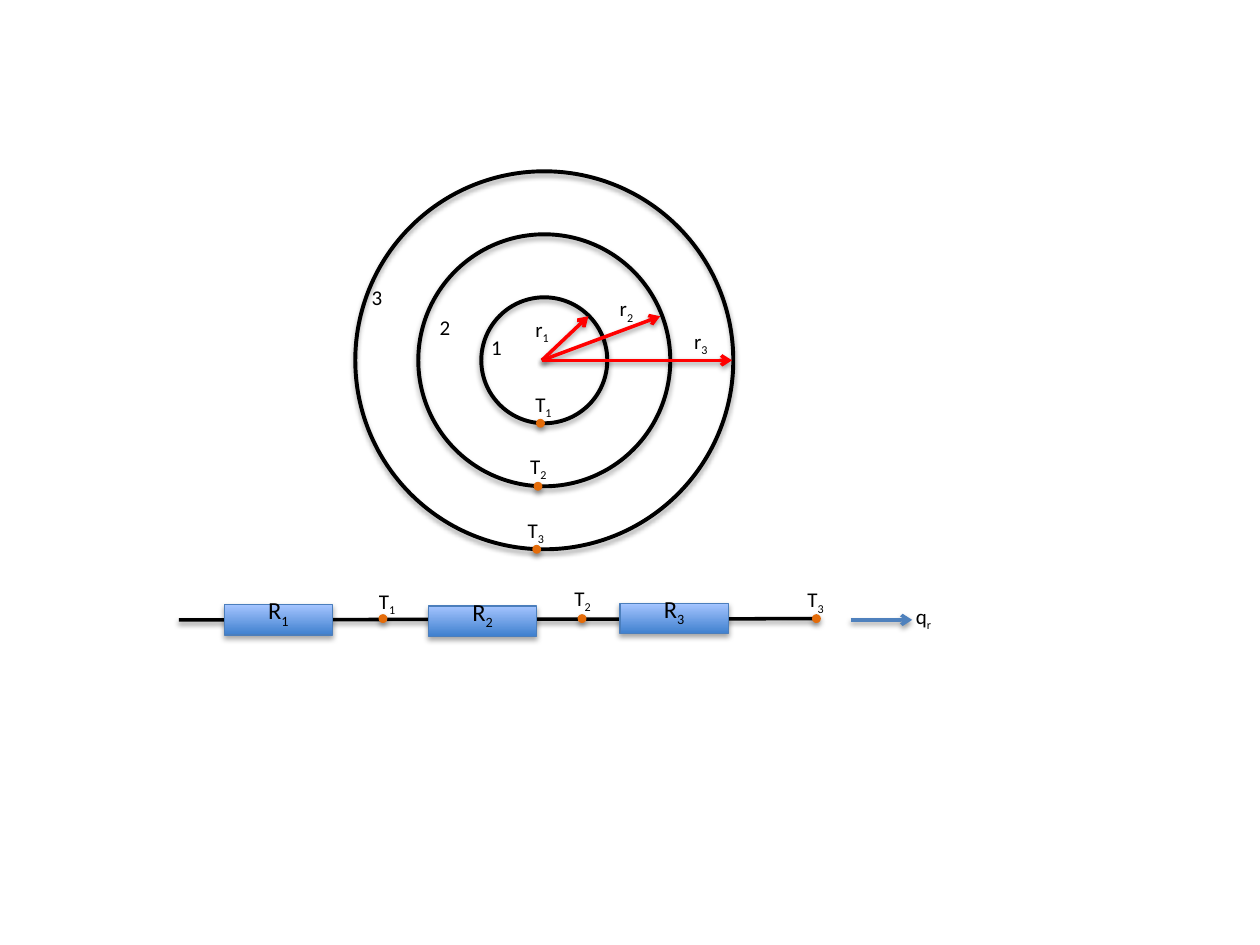
"""Build a slide of three concentric cylinders and their thermal resistance circuit."""
from dataclasses import dataclass

from lxml.etree import SubElement
from pptx import Presentation
from pptx.dml.color import RGBColor
from pptx.enum.shapes import MSO_CONNECTOR, MSO_SHAPE
from pptx.enum.text import MSO_ANCHOR, MSO_AUTO_SIZE, PP_ALIGN
from pptx.oxml.ns import qn
from pptx.util import Inches, Pt


@dataclass(frozen=True)
class Theme:
    font: str = "Calibri"
    ink: str = "000000"
    radius: str = "FF0000"
    flux: str = "4F81BD"
    node: str = "E46C0A"
    box_line: str = "4B7EBC"
    box_bottom: str = "3F80CE"
    box_top: str = "A4C4FF"
    label_size: float = 12
    box_size: float = 14
    thin: float = 0.75
    stroke: float = 2
    ring: float = 2.25


def rgb(color):
    return RGBColor.from_string(color)


def write(frame, text, *, font, size, color, align=PP_ALIGN.LEFT):
    base, _, subscript = text.partition("_")
    paragraph = frame.paragraphs[0]
    paragraph.alignment = align
    for part, offset in ((base, 0), (subscript, -25000)):
        if part:
            run = paragraph.add_run()
            run.text = part
            run.font.name = font
            run.font.size = Pt(size)
            run.font.color.rgb = rgb(color)
            if offset:
                run.font._element.set("baseline", str(offset))


class Diagram:
    def __init__(self, slide, theme):
        self.shapes = slide.shapes
        self.theme = theme

    def finish(self, item, color, width, distance=1.8, opacity=35):
        item.line.color.rgb = rgb(color)
        item.line.width = Pt(width)
        effects = SubElement(item._element.spPr, qn("a:effectLst"))
        shadow = SubElement(effects, qn("a:outerShdw"), blurRad=str(Pt(3.1)),
                            dist=str(Pt(distance)), dir="5400000", rotWithShape="0")
        black = SubElement(shadow, qn("a:srgbClr"), val=self.theme.ink)
        SubElement(black, qn("a:alpha"), val=str(opacity * 1000))

    def circle(self, x, y, radius):
        return self.shapes.add_shape(
            MSO_SHAPE.OVAL, Inches(x - radius), Inches(y - radius),
            Inches(2 * radius), Inches(2 * radius))

    def ring(self, x, y, radius):
        ring = self.circle(x, y, radius)
        ring.fill.background()
        self.finish(ring, self.theme.ink, self.theme.ring)

    def node(self, x, y):
        node = self.circle(x, y, 0.03)
        node.fill.solid()
        node.fill.fore_color.rgb = rgb(self.theme.node)
        self.finish(node, self.theme.node, self.theme.thin)

    def line(self, start, end, color, arrow=False):
        line = self.shapes.add_connector(
            MSO_CONNECTOR.STRAIGHT, *(Inches(value) for value in (*start, *end)))
        self.finish(line, color, self.theme.stroke, distance=1.6, opacity=38)
        if arrow:
            SubElement(line.line._get_or_add_ln(), qn("a:tailEnd"), type="arrow")

    def label(self, text, left, top, width):
        label = self.shapes.add_textbox(
            Inches(left), Inches(top), Inches(width), Inches(0.3))
        label.text_frame.word_wrap = False
        label.text_frame.auto_size = MSO_AUTO_SIZE.SHAPE_TO_FIT_TEXT
        write(label.text_frame, text, font=self.theme.font,
              size=self.theme.label_size, color=self.theme.ink)

    def resistor(self, text, left, top):
        theme = self.theme
        resistor = self.shapes.add_shape(
            MSO_SHAPE.RECTANGLE, Inches(left), Inches(top), Inches(0.86), Inches(0.24))
        resistor.fill.gradient()
        resistor.fill.gradient_angle = 90
        for stop, color, position in zip(resistor.fill.gradient_stops,
                                         (theme.box_bottom, theme.box_top), (0, 1)):
            stop.color.rgb = rgb(color)
            stop.position = position
        self.finish(resistor, theme.box_line, theme.thin)
        resistor.text_frame.vertical_anchor = MSO_ANCHOR.BOTTOM
        write(resistor.text_frame, text, font=theme.font, size=theme.box_size,
              color=theme.ink, align=PP_ALIGN.CENTER)


def main():
    deck = Presentation()
    deck.slide_width, deck.slide_height = Inches(10), Inches(7.5)
    theme = Theme()
    diagram = Diagram(deck.slides.add_slide(deck.slide_layouts[6]), theme)

    center_x, center_y = 4.32, 2.86
    for radius in (0.5, 1, 1.5):
        diagram.ring(center_x, center_y, radius)
    for tip in ((4.67, 2.51), (5.24, 2.51), (5.81, center_y)):
        diagram.line((4.3, center_y), tip, theme.radius, arrow=True)

    for layer, left, top in (("1", 3.8, 2.61), ("2", 3.39, 2.45), ("3", 2.85, 2.21)):
        diagram.label(layer, left, top, 0.29)
    for radius, left, top in (("r_1", 4.15, 2.46), ("r_2", 4.82, 2.3), ("r_3", 5.41, 2.56)):
        diagram.label(radius, left, top, 0.32)
    for surface, left, top in (("T_1", 4.15, 3.06), ("T_2", 4.11, 3.55), ("T_3", 4.09, 4.06)):
        diagram.label(surface, left, top, 0.34)
    for x, y in ((4.26, 4.36), (4.27, 3.86), (4.29, 3.36)):
        diagram.node(x, y)

    diagram.line((1.42, 4.92), (6.48, 4.91), theme.ink)
    for resistance, left, top in (("R_1", 1.78, 4.8), ("R_2", 3.4, 4.81), ("R_3", 4.92, 4.79)):
        diagram.resistor(resistance, left, top)
    for temperature, left, top, node_x in (("T_3", 6.31, 4.61, 6.48),
                                           ("T_2", 4.46, 4.6, 4.62),
                                           ("T_1", 2.91, 4.62, 3.04)):
        diagram.label(temperature, left, top, 0.34)
        diagram.node(node_x, 4.91)

    diagram.line((6.75, 4.92), (7.24, 4.92), theme.flux, arrow=True)
    diagram.label("q_r", 7.17, 4.74, 0.33)
    deck.save("out.pptx")


if __name__ == "__main__":
    main()
